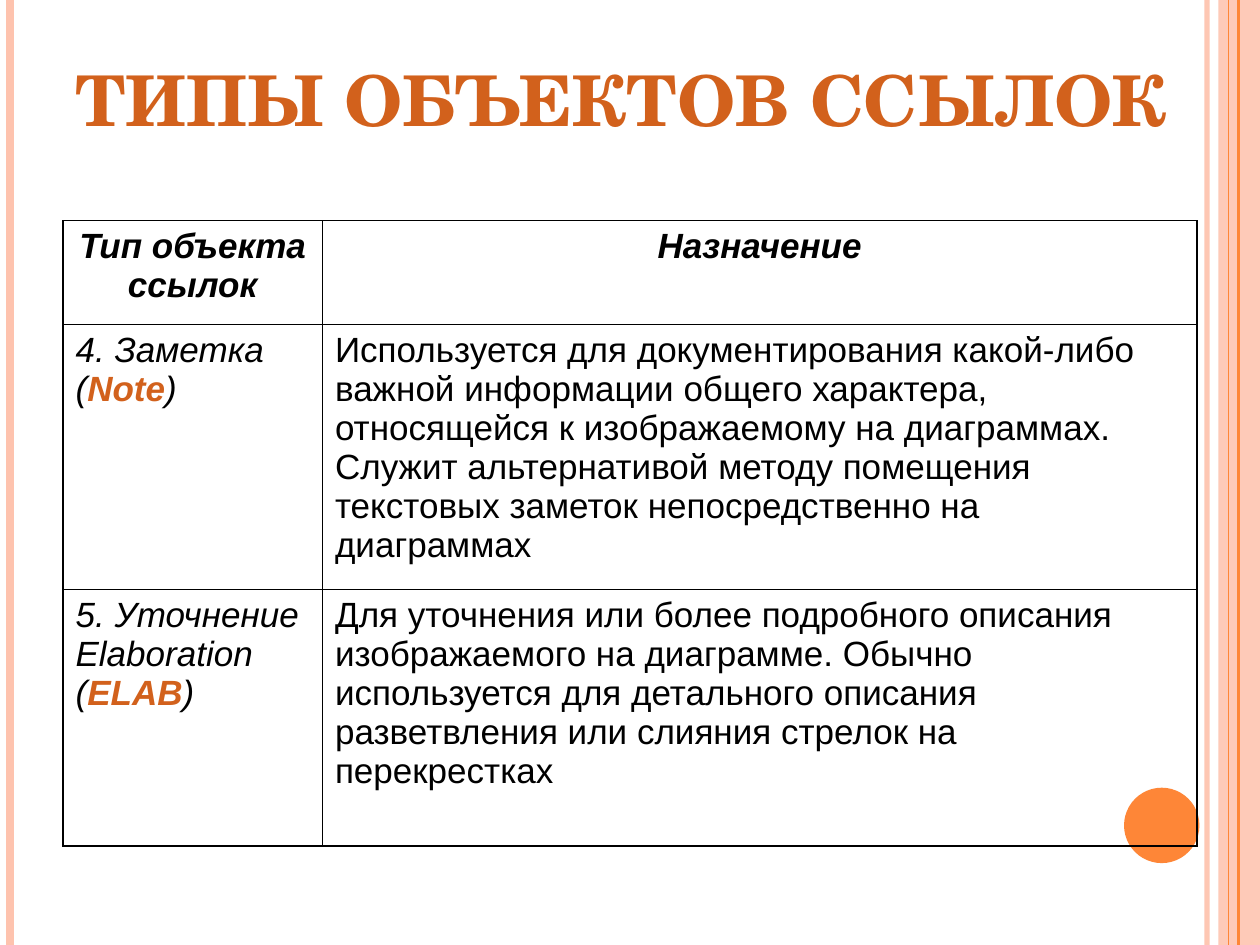
from pptx import Presentation
from pptx.dml.color import RGBColor
from pptx.enum.shapes import MSO_CONNECTOR, MSO_SHAPE
from pptx.enum.text import MSO_ANCHOR, MSO_AUTO_SIZE, PP_ALIGN
from pptx.oxml.ns import qn
from pptx.util import Cm, Pt
from lxml.etree import SubElement

BLACK = RGBColor(0x00, 0x00, 0x00)
RUST = RGBColor(0xD2, 0x61, 0x1C)
ORANGE = RGBColor(0xFE, 0x86, 0x37)
PEACH = RGBColor(0xFE, 0xC3, 0xAE)


def add_text(p, text, font="Arial", size=20, color=BLACK, bold=False, italic=False):
    r = p.add_run()
    r.text = text
    r.font.name = font
    r.font.size = Pt(size)
    r.font.color.rgb = color
    r.font.bold = bold
    r.font.italic = italic


def set_alpha(sp, percent):
    color = sp._element.spPr.find(".//" + qn("a:srgbClr"))
    SubElement(color, qn("a:alpha"), val=str(percent * 1000))


prs = Presentation()
prs.slide_width, prs.slide_height = Cm(25.4), Cm(19.05)
s = prs.slides.add_slide(prs.slide_layouts[5])

band = s.shapes.add_shape(MSO_SHAPE.RECTANGLE, Cm(24.56), 0, Cm(0.84), Cm(19.05))
dot = s.shapes.add_shape(MSO_SHAPE.OVAL, Cm(22.66), Cm(15.88), Cm(1.52), Cm(1.52))
for sp, color in [(band, PEACH), (dot, ORANGE)]:
    sp.shadow.inherit = False
    sp.fill.solid()
    sp.fill.fore_color.rgb = color
    sp.line.fill.background()
set_alpha(band, 87)

stripes = [
    (24.33, PEACH, 3, 93),
    (0.2, PEACH, 4.5, 100),
    (24.97, ORANGE, 1.5, 100),
    (24.77, ORANGE, 0.75, 100),
]
for x, color, width, alpha in stripes:
    stripe = s.shapes.add_connector(MSO_CONNECTOR.STRAIGHT, Cm(x), 0, Cm(x), Cm(19.05))
    stripe.line.color.rgb = color
    stripe.line.width = Pt(width)
    if alpha < 100:
        set_alpha(stripe, alpha)
    SubElement(stripe._element.spPr, qn("a:effectLst"))

title = s.shapes.title
title.left, title.top, title.width, title.height = Cm(1.27), Cm(0.76), Cm(22.86), Cm(2.21)
tf = title.text_frame
tf.auto_size = MSO_AUTO_SIZE.NONE
tf.vertical_anchor = MSO_ANCHOR.BOTTOM
tf.paragraphs[0].alignment = PP_ALIGN.LEFT
add_text(tf.paragraphs[0], "ТИПЫ ОБЪЕКТОВ ССЫЛОК", font="TeX Gyre Schola", size=40, color=RUST, bold=True)

heading = dict(bold=True, italic=True)
term = dict(italic=True)
code = dict(color=RUST, bold=True, italic=True)
rows = [
    [
        [("Тип объекта ссылок", heading)],
        [("Назначение", heading)],
    ],
    [
        [("4. Заметка (", term), ("Note", code), (")", term)],
        [("Используется для документирования какой-либо важной информации общего характера, "
          "относящейся к изображаемому на диаграммах. Служит альтернативой методу помещения "
          "текстовых заметок непосредственно на диаграммах", {})],
    ],
    [
        [("5. Уточнение Elaboration (", term), ("ELAB", code), (")", term)],
        [("Для уточнения или более подробного описания изображаемого на диаграмме. Обычно "
          "используется для детального описания разветвления или слияния стрелок на "
          "перекрестках", {})],
    ],
]
table = s.shapes.add_table(3, 2, Cm(1.27), Cm(4.45), Cm(22.86), Cm(12.6)).table
table.first_row = False
table.horz_banding = False
for col, width in zip(table.columns, [5.23, 17.63]):
    col.width = Cm(width)
for row, height in zip(table.rows, [2.09, 5.34, 5.17]):
    row.height = Cm(height)

for i, row in enumerate(rows):
    for j, runs in enumerate(row):
        cell = table.cell(i, j)
        p = cell.text_frame.paragraphs[0]
        p.alignment = PP_ALIGN.CENTER if i == 0 else PP_ALIGN.LEFT
        for text, style in runs:
            add_text(p, text, **style)
        thick = {"a:lnL": j == 0, "a:lnR": j == 1, "a:lnT": False, "a:lnB": i == 2}
        for tag, is_thick in thick.items():
            ln = SubElement(cell._tc.get_or_add_tcPr(), qn(tag), w=str(Pt(1.08 if is_thick else 0.45)))
            fill = SubElement(ln, qn("a:solidFill"))
            SubElement(fill, qn("a:srgbClr"), val=str(BLACK))
        cell.fill.background()

prs.save("out.pptx")
